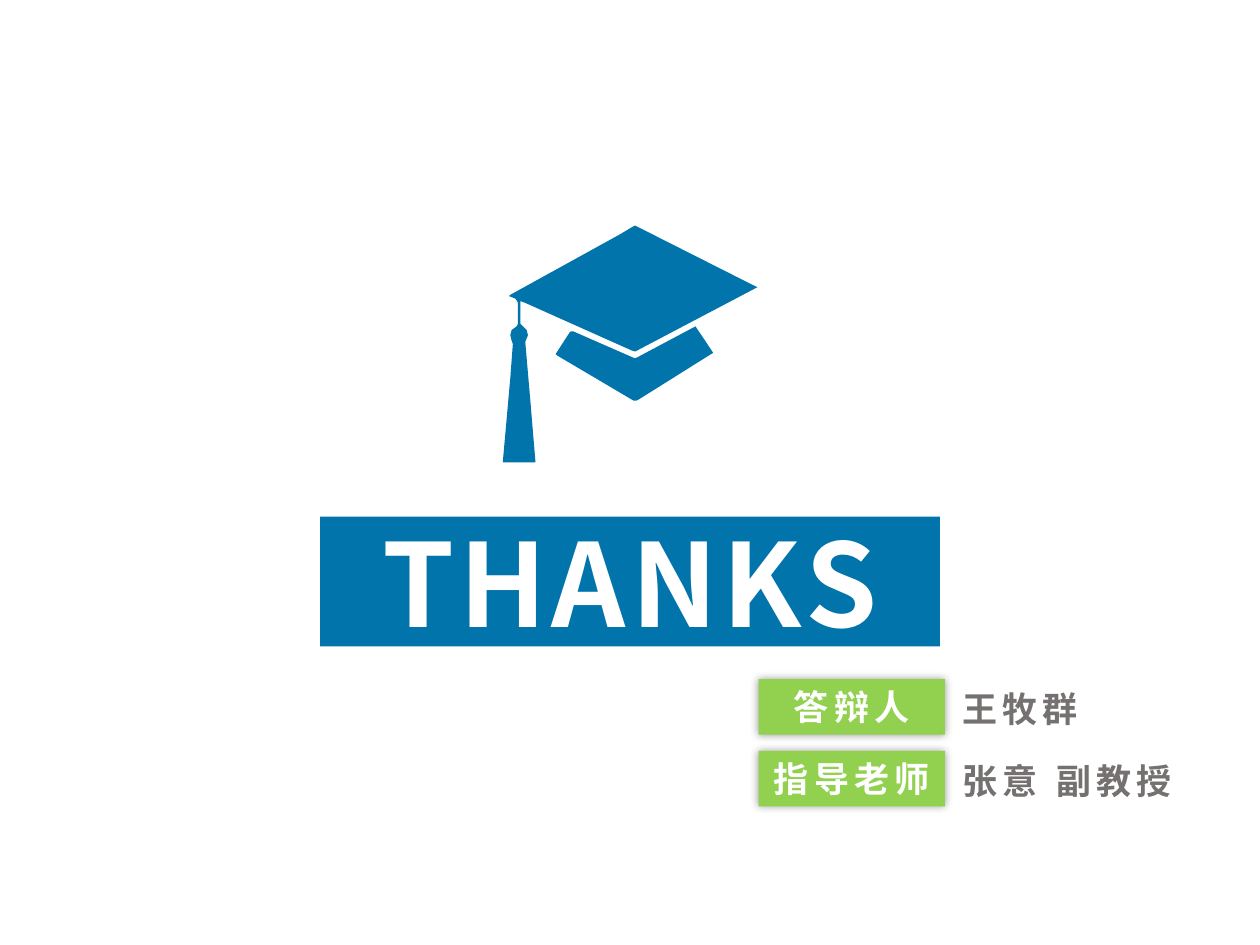
from lxml.etree import SubElement
from pptx import Presentation
from pptx.dml.color import RGBColor
from pptx.enum.shapes import MSO_SHAPE as Shape
from pptx.enum.text import MSO_ANCHOR as Anchor, MSO_AUTO_SIZE as AutoSize, PP_ALIGN as Align
from pptx.oxml.ns import qn
from pptx.util import Inches, Pt

BLUE, GREEN, GREY, WHITE = "0174AB", "92D14F", "767171", "FFFFFF"
FONT = "Noto Sans CJK SC"
COLUMNS, ROWS = 100, 75
TITLE_ONLY = 5

# Outlines in grid cells (column, row)
BOARD_AND_TASSEL = [
    (41.3, 23.9), (41.3, 25.7), (41.5, 25.9), (41.8, 26.2), (41.9, 26.6),
    (41.7, 27.1), (41.7, 27.3), (42.1, 31.9), (42.5, 36.7), (39.9, 36.7),
    (40.5, 30), (40.7, 27.3), (40.6, 27), (40.5, 26.6), (40.6, 26.2),
    (41, 25.9), (41.1, 25.7), (41.1, 24), (40.9, 23.7), (40.4, 23.5),
    (40.5, 23.4), (49.2, 18.6), (50.2, 18), (50.4, 17.9), (50.6, 18),
    (60.1, 22.8), (50.6, 27.8), (50.4, 27.9), (50.1, 27.8), (41.6, 24),
]
CAP_BAND = [
    (44.1, 28.1), (45.2, 26.4), (45.3, 26.3), (45.5, 26.3), (50.3, 28.4),
    (50.5, 28.4), (55.2, 25.9), (56.6, 28), (50.7, 31.7), (50.5, 31.8),
    (50.3, 31.8), (44.2, 28.2),
]


def colour(value):
    return RGBColor.from_string(value)


class Builder:
    """Holds the deck, its grid, its text style and the current slide."""

    def __init__(self):
        self.deck = Presentation()
        self.deck.slide_width, self.deck.slide_height = Inches(10), Inches(7.5)
        self.page = self.deck.slides.add_slide(self.deck.slide_layouts[TITLE_ONLY])
        self.page.background.fill.solid()
        self.page.background.fill.fore_color.rgb = colour(WHITE)

    def x(self, column):
        return round(self.deck.slide_width * column / COLUMNS)

    def y(self, row):
        return round(self.deck.slide_height * row / ROWS)

    def place(self, left, top, width, height):
        return self.x(left), self.y(top), self.x(width), self.y(height)

    def paint(self, shape, fill):
        shape.fill.solid()
        shape.fill.fore_color.rgb = colour(fill)
        shape.line.fill.background()

    def set_text(self, shape, text, size, ink, align, anchor):
        frame = shape.text_frame
        frame.word_wrap = True
        frame.auto_size = AutoSize.NONE
        frame.vertical_anchor = anchor
        para = frame.paragraphs[0]
        para.alignment = align
        span = para.add_run()
        span.text = text
        font = span.font
        font.name, font.size, font.bold = FONT, Pt(size), True
        font.color.rgb = colour(ink)
        properties = span._r.get_or_add_rPr()
        properties.set("spc", "300")
        SubElement(properties, qn("a:ea"), typeface=FONT)

    def title(self, text, *cells):
        box = self.page.shapes.title
        box.left, box.top, box.width, box.height = self.place(*cells)
        self.paint(box, BLUE)
        self.set_text(box, text, 66, WHITE, Align.CENTER, Anchor.MIDDLE)

    def outlines(self, fill, *polygons):
        group = self.page.shapes.add_group_shape()
        for cells in polygons:
            points = [(self.x(column), self.y(row)) for column, row in cells]
            pen = group.shapes.build_freeform(*points[0])
            pen.add_line_segments(points[1:], close=True)
            shape = pen.convert_to_shape()
            shape.shadow.inherit = False
            self.paint(shape, fill)

    def label(self, text, *cells):
        box = self.page.shapes.add_shape(Shape.RECTANGLE, *self.place(*cells))
        self.paint(box, GREEN)
        self.soft_shadow(box)
        self.set_text(box, text, 20, WHITE, Align.CENTER, Anchor.MIDDLE)

    def soft_shadow(self, shape):
        shape.shadow.inherit = False
        effects = shape._element.spPr.find(qn("a:effectLst"))
        shadow = SubElement(effects, qn("a:outerShdw"), blurRad=str(Pt(5)),
                            dist="0", dir="0", algn="ctr", rotWithShape="0")
        black = SubElement(shadow, qn("a:srgbClr"), val="000000")
        SubElement(black, qn("a:alpha"), val="40000")

    def caption(self, text, *cells):
        box = self.page.shapes.add_textbox(*self.place(*cells))
        self.set_text(box, text, 20, GREY, Align.LEFT, Anchor.TOP)


def main():
    builder = Builder()

    # Banner and graduation cap
    builder.title("THANKS", 25.4, 41, 49.2, 10.3)
    builder.outlines(BLUE, BOARD_AND_TASSEL, CAP_BAND)

    # Role labels with the names beside them
    people = [("答辩人", "王牧群", 17.7), ("指导老师", "张意 副教授", 24.6)]
    first_row, pitch, height = 53.9, 5.7, 4.4
    for index, (role, name, width) in enumerate(people):
        top = first_row + index * pitch
        builder.label(role, 60.2, top, 14.8, height)
        builder.caption(name, 75.4, top + 0.2, width, height)

    builder.deck.save("out.pptx")


if __name__ == "__main__":
    main()
